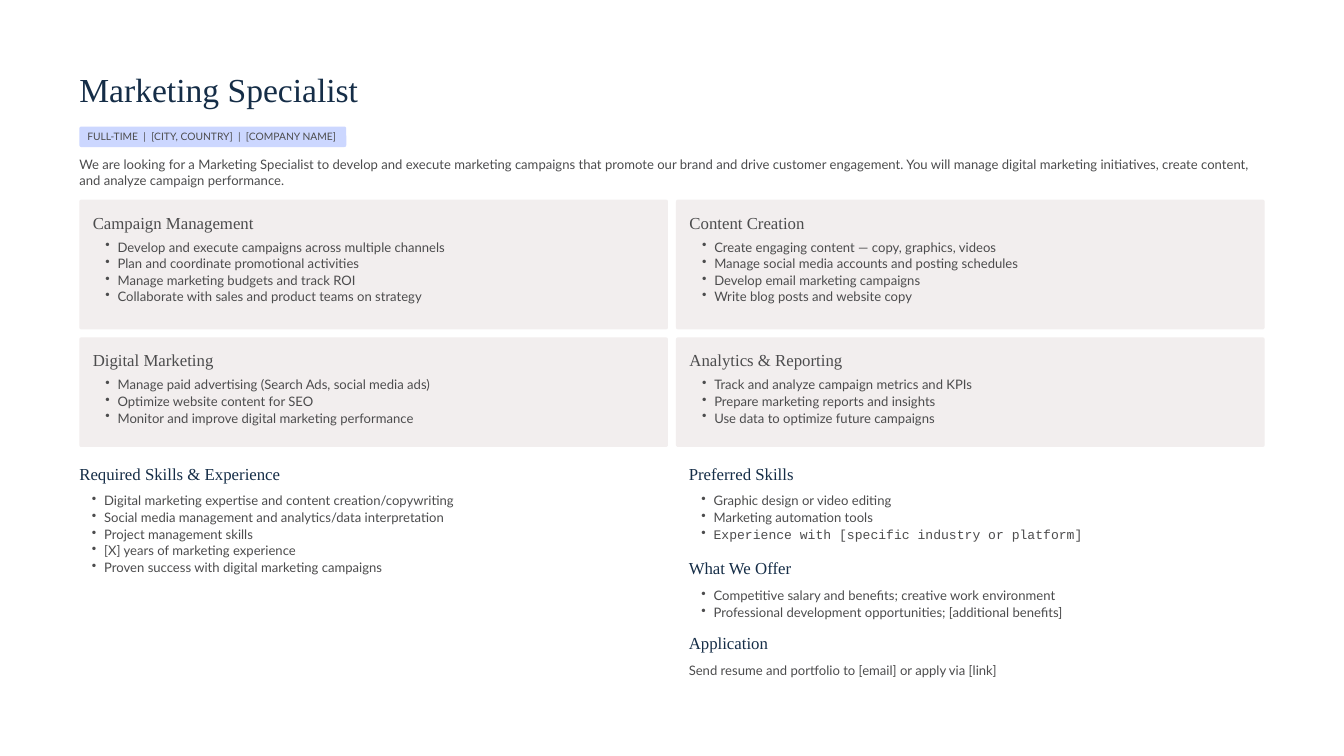
"""Build a one-slide job description for a marketing specialist."""
from dataclasses import dataclass
from typing import Optional

from lxml import etree
from pptx import Presentation
from pptx import util as u
from pptx.dml import color
from pptx.enum import shapes, text
from pptx.oxml import ns

Pt = u.Pt
NAVY, GREY, CARD, BADGE, WHITE = "152D47", "4C4C4D", "F2EEEE", "CCD7FF", "FFFFFF"
SERIF, SANS, MONO = "Times New Roman", "Lato", "Courier New"
LEFT, WIDTH, GAP = 85, 1270, 8.6
CARD_W = (WIDTH - GAP) / 2
CARD_TOP, CARD_PAD = 213.9, 14.4
SECTION_W = 617
RIGHT = LEFT + WIDTH - SECTION_W


@dataclass(frozen=True)
class Style:
    font: str
    size: float
    leading: float
    color: str


TITLE = Style(SERIF, 36, 44.9, NAVY)
TAG = Style(SANS, 11, 12.7, GREY)
BODY = Style(SANS, 14, 17.8, GREY)
CARD_HEAD = Style(SERIF, 18, 22.5, GREY)
SECTION_HEAD = Style(SERIF, 18, 22.5, NAVY)


@dataclass(frozen=True)
class Block:
    heading: str
    items: tuple[str, ...]


@dataclass(frozen=True)
class CardRow:
    height: float
    blocks: tuple[Block, ...]


@dataclass(frozen=True)
class Section:
    x: float
    y: float
    block: Block
    mono_item: Optional[int] = None


CARD_ROWS = (
    CardRow(139, (
        Block("Campaign Management", (
            "Develop and execute campaigns across multiple channels",
            "Plan and coordinate promotional activities",
            "Manage marketing budgets and track ROI",
            "Collaborate with sales and product teams on strategy")),
        Block("Content Creation", (
            "Create engaging content — copy, graphics, videos",
            "Manage social media accounts and posting schedules",
            "Develop email marketing campaigns",
            "Write blog posts and website copy")))),
    CardRow(117.4, (
        Block("Digital Marketing", (
            "Manage paid advertising (Search Ads, social media ads)",
            "Optimize website content for SEO",
            "Monitor and improve digital marketing performance")),
        Block("Analytics & Reporting", (
            "Track and analyze campaign metrics and KPIs",
            "Prepare marketing reports and insights",
            "Use data to optimize future campaigns")))),
)
SECTIONS = (
    Section(LEFT, 495.4, Block("Required Skills & Experience", (
        "Digital marketing expertise and content creation/copywriting",
        "Social media management and analytics/data interpretation",
        "Project management skills",
        "[X] years of marketing experience",
        "Proven success with digital marketing campaigns"))),
    Section(RIGHT, 495.4, Block("Preferred Skills", (
        "Graphic design or video editing",
        "Marketing automation tools",
        "Experience with [specific industry or platform]")), mono_item=2),
    Section(RIGHT, 597, Block("What We Offer", (
        "Competitive salary and benefits; creative work environment",
        "Professional development opportunities; [additional benefits]"))),
)


def paint(fill, hex_color: str) -> None:
    """Give a fill one solid colour."""
    fill.solid()
    fill.fore_color.rgb = color.RGBColor.from_string(hex_color)


def add_panel(slide, x: float, y: float, w: float, h: float, hex_color: str) -> None:
    """Draw a filled rectangle with slightly rounded corners."""
    sp = slide.shapes.add_shape(
        shapes.MSO_SHAPE.ROUNDED_RECTANGLE, Pt(x), Pt(y), Pt(w), Pt(h))
    sp.adjustments[0] = 2.1 / min(w, h)
    sp.shadow.inherit = False
    paint(sp.fill, hex_color)
    sp.line.fill.background()


def add_bullet(p) -> None:
    """Turn a paragraph into an indented bullet."""
    p.level = 1
    pPr = p._p.get_or_add_pPr()
    pPr.set("marL", str(Pt(26.6)))
    pPr.set("indent", str(Pt(-13)))
    etree.SubElement(pPr, ns.qn("a:buChar")).set("char", "•")


def add_text(slide, x: float, y: float, w: float, lines: tuple[str, ...],
             style: Style, bullets: bool = False, mono_item: Optional[int] = None) -> None:
    """Place a text box with one paragraph per line."""
    h = style.leading * len(lines)
    tf = slide.shapes.add_textbox(Pt(x), Pt(y), Pt(w), Pt(h)).text_frame
    tf.word_wrap = True
    tf.auto_size = text.MSO_AUTO_SIZE.SHAPE_TO_FIT_TEXT
    tf.margin_left = tf.margin_top = tf.margin_right = tf.margin_bottom = 0
    tf.text = "\n".join(lines)
    for i, p in enumerate(tf.paragraphs):
        if bullets:
            add_bullet(p)
        p.line_spacing = Pt(style.leading)
        for r in p.runs:
            r.font.name = MONO if i == mono_item else style.font
            r.font.size = Pt(style.size)
            r.font.color.rgb = color.RGBColor.from_string(style.color)


def add_cards(slide) -> None:
    """Draw the two-column grid of responsibility cards."""
    y = CARD_TOP
    for row in CARD_ROWS:
        for col, block in enumerate(row.blocks):
            x = LEFT + col * (CARD_W + GAP)
            inner_w = CARD_W - 2 * CARD_PAD
            add_panel(slide, x, y, CARD_W, row.height, CARD)
            add_text(slide, x + CARD_PAD, y + 12.6, inner_w, (block.heading,), CARD_HEAD)
            add_text(slide, x + CARD_PAD, y + 41.2, inner_w, block.items, BODY, bullets=True)
        y += row.height + GAP


def add_section(slide, section: Section) -> None:
    """Place a section heading with its bullets."""
    x, y, block = section.x, section.y, section.block
    add_text(slide, x, y, SECTION_W, (block.heading,), SECTION_HEAD)
    add_text(slide, x, y + 31.7, SECTION_W, block.items, BODY,
             bullets=True, mono_item=section.mono_item)


def main() -> None:
    """Build and save the slide."""
    prs = Presentation()
    prs.slide_width, prs.slide_height = Pt(1440), Pt(810)
    slide = prs.slides.add_slide(prs.slide_layouts[6])
    paint(slide.background.fill, WHITE)

    add_text(slide, LEFT, 72, WIDTH, ("Marketing Specialist",), TITLE)
    add_panel(slide, LEFT, 135.6, 286, 22, BADGE)
    add_text(slide, 93.6, 140.2, 340,
             ("FULL-TIME  |  [CITY, COUNTRY]  |  [COMPANY NAME]",), TAG)
    add_text(slide, LEFT, 166.4, WIDTH, (
        "We are looking for a Marketing Specialist to develop and execute marketing "
        "campaigns that promote our brand and drive customer engagement. You will manage "
        "digital marketing initiatives, create content, and analyze campaign performance.",
    ), BODY)
    add_cards(slide)
    for section in SECTIONS:
        add_section(slide, section)
    add_text(slide, RIGHT, 677.5, SECTION_W, ("Application",), SECTION_HEAD)
    add_text(slide, RIGHT, 709.2, SECTION_W,
             ("Send resume and portfolio to [email] or apply via [link]",), BODY)
    prs.save("out.pptx")


if __name__ == "__main__":
    main()
